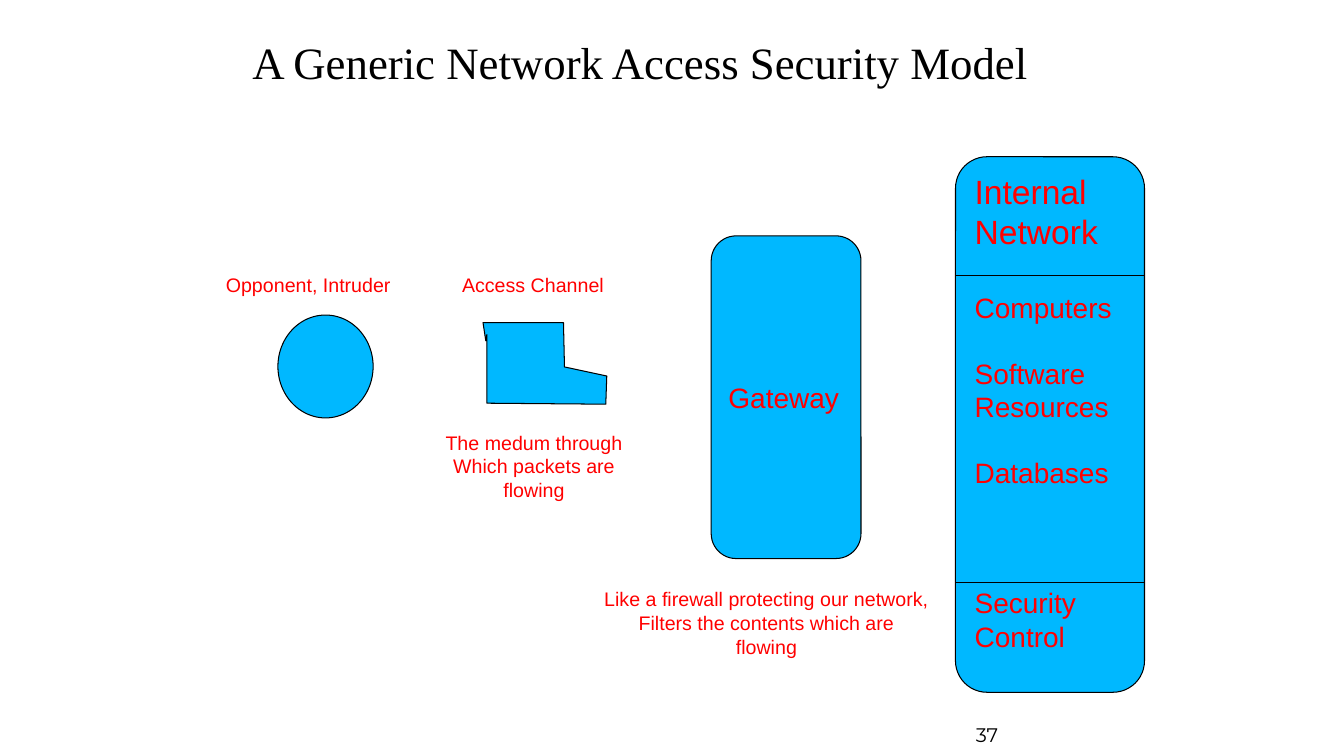
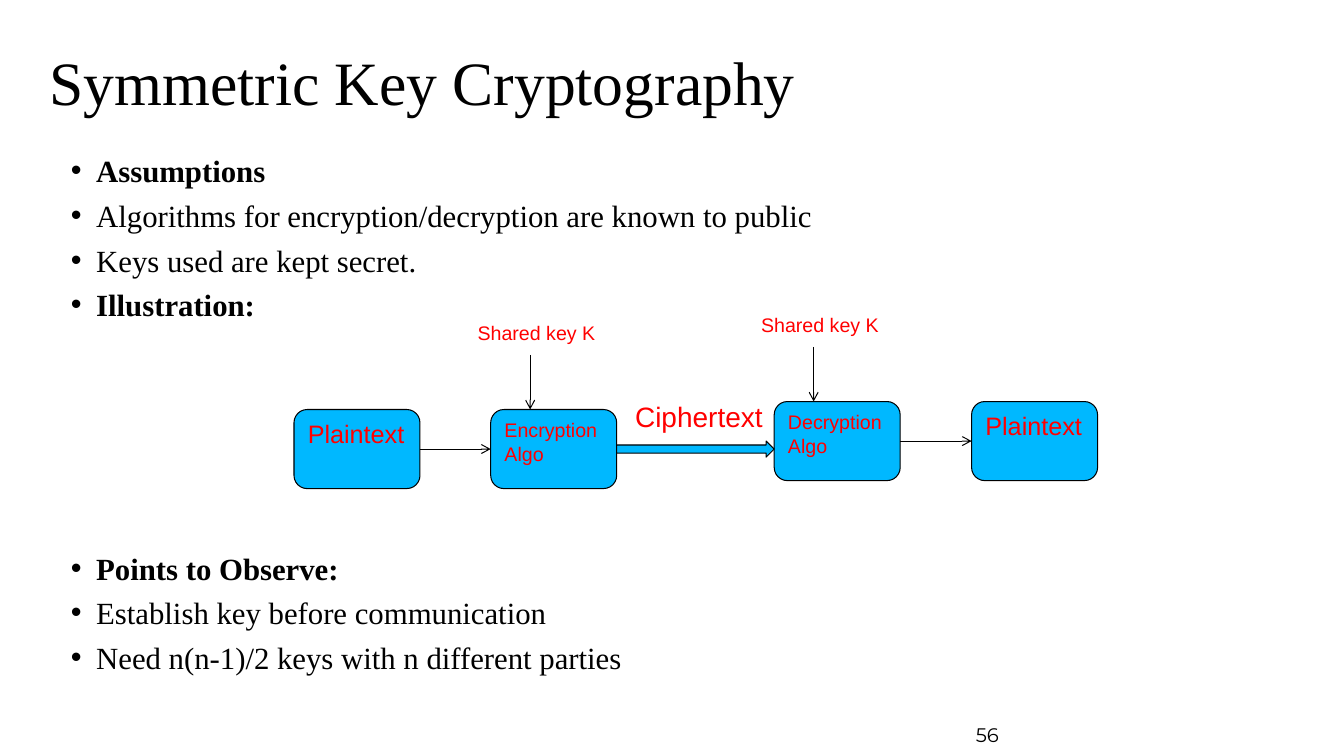
import pptx
import pptx.dml.color
import pptx.enum.shapes
import pptx.enum.text
import pptx.oxml.ns
import pptx.util
from lxml import etree

Pt = pptx.util.Pt
Shape = pptx.enum.shapes.MSO_SHAPE
Align = pptx.enum.text.PP_ALIGN
Anchor = pptx.enum.text.MSO_ANCHOR
AutoSize = pptx.enum.text.MSO_AUTO_SIZE
qn = pptx.oxml.ns.qn

COLORS = {"ink": "000000", "fill": "00B8FF", "label": "FF0000", "paper": "FFFFFF"}
FONTS = {"title": "Times New Roman", "label": "Arial", "number": "Montserrat"}
TITLE_ONLY, TITLE_AND_CONTENT = 5, 1


def color(name):
    return pptx.dml.color.RGBColor.from_string(COLORS[name])


def assign(target, values):
    for name, value in values.items():
        setattr(target, name, value)


def place(shape, left, top, width, height):
    assign(shape, {"left": Pt(left), "top": Pt(top), "width": Pt(width), "height": Pt(height)})


class Slides:
    """The deck, its style and the slide being filled."""

    def __init__(self):
        self.deck = pptx.Presentation()
        assign(self.deck, {"slide_width": Pt(960), "slide_height": Pt(540)})
        self.page = None

    def start(self, layout, title, number, left, top, size):
        self.page = self.deck.slides.add_slide(self.deck.slide_layouts[layout])
        background = self.page.background.fill
        background.solid()
        background.fore_color.rgb = color("paper")
        box = self.page.shapes.title
        place(box, left, top, 615, 67.5)
        self.set_text(box, [title], size, "title", "ink", anchor=Anchor.MIDDLE, line_spacing=0.9)
        box = self.page.shapes.add_textbox(Pt(690), Pt(510), Pt(150), Pt(30))
        self.set_text(box, [number], 14, "number", "ink", anchor=Anchor.MIDDLE)

    def set_text(self, box, lines, size, font="label", ink="label", anchor=Anchor.TOP, **layout):
        """Fill a box; a line is a string or (string, space before, size, bold)."""
        frame = box.text_frame
        assign(frame, {"word_wrap": True, "auto_size": AutoSize.NONE, "vertical_anchor": anchor})
        for index, line in enumerate(lines):
            text, space, line_size, bold = (line, 0, size, False) if isinstance(line, str) else line
            para = frame.paragraphs[0] if index == 0 else frame.add_paragraph()
            assign(para, {"alignment": Align.LEFT, "space_before": Pt(space), **layout})
            span = para.add_run()
            span.text = text
            assign(span.font, {"name": FONTS[font], "size": Pt(line_size), "bold": bold})
            span.font.color.rgb = color(ink)

    def bullets(self, left, top, width, height, lines, indent=18):
        box = self.page.placeholders[1]
        place(box, left, top, width, height)
        self.set_text(box, lines, 22, "title", "ink", line_spacing=0.8)
        for para in box.text_frame.paragraphs:
            properties = para._p.get_or_add_pPr()
            properties.set("marL", str(Pt(indent)))
            properties.set("indent", str(-Pt(indent)))

    def label(self, left, top, width, height, lines, size=14):
        box = self.page.shapes.add_textbox(Pt(left), Pt(top), Pt(width), Pt(height))
        self.set_text(box, lines, size, alignment=Align.CENTER)
        assign(box.text_frame, {"word_wrap": False, "auto_size": AutoSize.SHAPE_TO_FIT_TEXT})

    def paint(self, shape):
        shape.shadow.inherit = False
        shape.fill.solid()
        shape.fill.fore_color.rgb = color("fill")
        self.outline(shape)

    def outline(self, shape):
        shape.line.color.rgb = color("ink")
        shape.line.width = Pt(0.75)

    def block(self, kind, left, top, width, height, lines=(), size=20, anchor=Anchor.TOP):
        box = self.page.shapes.add_shape(kind, Pt(left), Pt(top), Pt(width), Pt(height))
        self.paint(box)
        if lines:
            self.set_text(box, lines, size, anchor=anchor)
        return box

    def outline_block(self, points):
        corners = [(Pt(x), Pt(y)) for x, y in points]
        builder = self.page.shapes.build_freeform(*corners[0], scale=1.0)
        builder.add_line_segments(corners[1:], close=True)
        self.paint(builder.convert_to_shape())

    def line(self, start=(0, 0), end=(0, 0), arrow=False):
        ends = [Pt(value) for value in (*start, *end)]
        kind = pptx.enum.shapes.MSO_CONNECTOR.STRAIGHT
        connector = self.page.shapes.add_connector(kind, *ends)
        self.outline(connector)
        if arrow:
            line_format = connector._element.spPr.find(qn("a:ln"))
            etree.SubElement(line_format, qn("a:tailEnd"), type="arrow")
        etree.SubElement(connector._element.spPr, qn("a:effectLst"))
        return connector

    def link(self, source, target):
        """Arrow from the right side of one box to the left side of another."""
        connector = self.line(arrow=True)
        connector.begin_connect(source, 3)
        connector.end_connect(target, 1)


def access_model(slides):
    slides.start(TITLE_ONLY, "A Generic Network Access Security Model", "37", 173, 13, 32)
    slides.block(Shape.OVAL, 198.5, 225, 68, 73.5)
    slides.outline_block([(347.8, 239), (347.8, 288), (432.7, 288.7), (433.4, 268.6),
                          (403.2, 262.1), (402.5, 230.4), (345, 230.4), (347, 243.4)])
    slides.block(Shape.ROUNDED_RECTANGLE, 508, 168.5, 107, 230.5, ["Gateway"],
                 anchor=Anchor.MIDDLE)
    left, width = 682.5, 135
    slides.block(Shape.ROUNDED_RECTANGLE, left, 112, width, 382.5, [
        ("Internal Network", 0, 24, False),
        ("Computers", 27.6, 20, False),
        ("Software Resources", 23, 20, False),
        ("Databases", 23, 20, False),
        ("Security", 69, 20, False),
        "Control",
    ])
    for height in (197, 416):
        slides.line((left, height), (left + width, height))
    slides.label(154, 191.5, 132.5, 24.5, ["Opponent, Intruder"])
    slides.label(322.5, 191.5, 116.5, 24.5, ["Access Channel"])
    slides.label(311, 304, 141, 58, ["The medum through", "Which packets are", "flowing"])
    slides.label(424, 416, 247, 58, ["Like a firewall protecting our network,",
                                     "Filters the contents which are", "flowing"])


def symmetric_key(slides):
    slides.start(TITLE_AND_CONTENT, "Symmetric Key Cryptography", "56", 28, 27.5, 44)
    gap = 10.8
    slides.bullets(43.5, 110, 797, 394, [
        ("Assumptions", 0, 22, True),
        ("Algorithms for encryption/decryption are known to public", gap, 22, False),
        ("Keys used are kept secret.", gap, 22, False),
        ("Illustration:", gap, 22, True),
        ("Points to Observe:", 167, 22, True),
        ("Establish key before communication", gap, 22, False),
        ("Need n(n-1)/2 keys with n different parties", gap, 22, False),
    ])
    width, height = 90, 56.5
    steps = [(210, 292.5, ["Plaintext"], 18), (350.5, 292.5, ["Encryption", "Algo"], 14),
             (553, 286.8, ["Decryption", "Algo"], 14), (694, 286.8, ["Plaintext"], 18)]
    plain, encryption, decryption, result = [
        slides.block(Shape.ROUNDED_RECTANGLE, left, top, width, height, lines, size)
        for left, top, lines, size in steps]
    slides.link(plain, encryption)
    slides.link(decryption, result)
    for left, top, _, _ in steps[1:3]:
        slides.line((left + 28.2, top - 39), (left + 28.2, top), arrow=True)
        slides.label(left - 17, top - 67, 99.5, 24.5, ["Shared key K"])
    slides.block(Shape.RIGHT_ARROW, 440.5, 315, 112.5, 11.5)
    slides.label(446, 281.5, 106.5, 31.5, ["Ciphertext"], 20)


def main():
    slides = Slides()
    access_model(slides)
    symmetric_key(slides)
    slides.deck.save("out.pptx")


if __name__ == "__main__":
    main()
